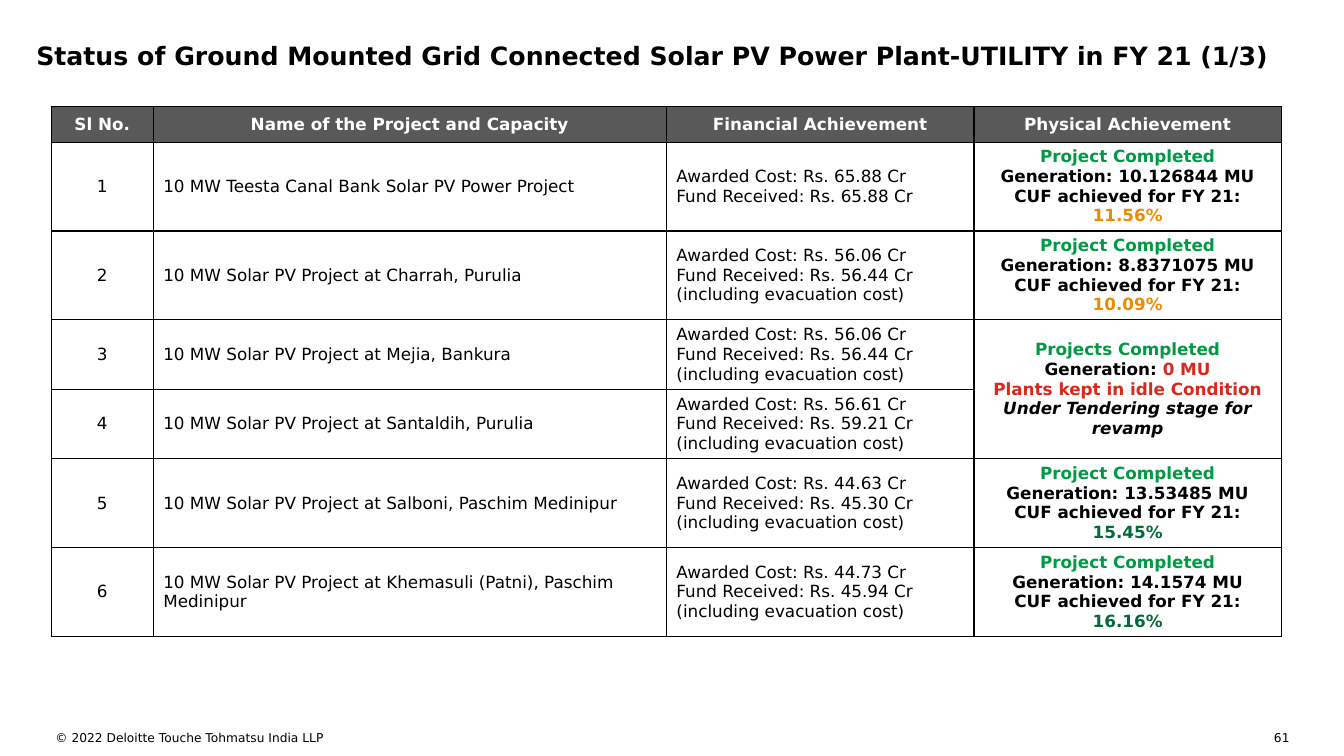
from dataclasses import dataclass

from lxml.etree import SubElement
from pptx import Presentation
from pptx.dml.color import RGBColor
from pptx.enum.text import MSO_ANCHOR as Anchor, PP_ALIGN as Align
from pptx.oxml.ns import qn
from pptx.util import Inches, Pt


@dataclass(frozen=True)
class Theme:
    font: str = "DejaVu Sans"
    title_size: float = 18
    table_size: float = 12
    footer_size: float = 8.7
    border_width: float = 1
    black: str = "000000"
    white: str = "FFFFFF"
    header: str = "595959"
    done: str = "009A44"
    low: str = "ED8B00"
    high: str = "046A38"
    idle: str = "DA291C"


THEME = Theme()


@dataclass(frozen=True)
class Span:
    text: str
    color: str = THEME.black
    bold: bool = False
    italic: bool = False


Line = list[Span]


@dataclass(frozen=True)
class Project:
    name: str
    awarded: str
    received: str
    status: list[Line]
    evacuation: bool = True
    status_rows: int = 1


@dataclass(frozen=True)
class Footer:
    text: str
    left: float
    width: float
    align: Align


def completed(generation: str, cuf: str, cuf_color: str) -> list[Line]:
    """Status lines of a plant that is generating."""
    return [
        [Span("Project Completed", THEME.done, True)],
        [Span(f"Generation: {generation} MU", bold=True)],
        [Span("CUF achieved for FY 21: ", bold=True), Span(cuf, cuf_color, True)],
    ]


IDLE_STATUS = [
    [Span("Projects Completed", THEME.done, True)],
    [Span("Generation: ", bold=True), Span("0 MU", THEME.idle, True)],
    [Span("Plants kept in idle Condition", THEME.idle, True)],
    [Span("Under Tendering stage for revamp", bold=True, italic=True)],
]

TITLE = "Status of Ground Mounted Grid Connected Solar PV Power Plant-UTILITY in FY 21 (1/3)"
HEADINGS = ["Sl No.", "Name of the Project and Capacity",
            "Financial Achievement", "Physical Achievement"]
PROJECTS = [
    Project("10 MW Teesta Canal Bank Solar PV Power Project", "65.88", "65.88",
            completed("10.126844", "11.56%", THEME.low), evacuation=False),
    Project("10 MW Solar PV Project at Charrah, Purulia", "56.06", "56.44",
            completed("8.8371075", "10.09%", THEME.low)),
    Project("10 MW Solar PV Project at Mejia, Bankura", "56.06", "56.44",
            IDLE_STATUS, status_rows=2),
    Project("10 MW Solar PV Project at Santaldih, Purulia", "56.61", "59.21", [],
            status_rows=0),
    Project("10 MW Solar PV Project at Salboni, Paschim Medinipur", "44.63", "45.30",
            completed("13.53485", "15.45%", THEME.high)),
    Project("10 MW Solar PV Project at Khemasuli (Patni), Paschim Medinipur",
            "44.73", "45.94", completed("14.1574", "16.16%", THEME.high)),
]
FOOTERS = [
    Footer("© 2022 Deloitte Touche Tohmatsu India LLP", 0.55, 5.86, Align.LEFT),
    Footer("61", 12.45, 0.34, Align.RIGHT),
]
COLUMN_WIDTHS = [1.01, 5.09, 3.05, 3.05]
HEADER_HEIGHT, FULL_HEIGHT, IDLE_HEIGHT = 0.35, 0.88, 0.69


def write_lines(frame, lines: list[Line], size: float, align: Align) -> None:
    for index, line in enumerate(lines):
        para = frame.paragraphs[0] if index == 0 else frame.add_paragraph()
        para.alignment = align
        for span in line:
            run = para.add_run()
            run.text = span.text
            font = run.font
            font.name, font.size = THEME.font, Pt(size)
            font.bold, font.italic = span.bold, span.italic
            font.color.rgb = RGBColor.from_string(span.color)


def clear_margins(frame) -> None:
    frame.margin_left = frame.margin_right = frame.margin_top = frame.margin_bottom = 0
    frame.word_wrap = True


def style_cell(cell, fill: str) -> None:
    properties = cell._tc.get_or_add_tcPr()
    for side in ("lnL", "lnR", "lnT", "lnB"):
        border = SubElement(properties, qn(f"a:{side}"), w=str(Pt(THEME.border_width)))
        solid = SubElement(border, qn("a:solidFill"))
        SubElement(solid, qn("a:srgbClr"), val=THEME.black)
    cell.fill.solid()
    cell.fill.fore_color.rgb = RGBColor.from_string(fill)
    cell.vertical_anchor = Anchor.MIDDLE


def add_title(page) -> None:
    title = page.shapes.title
    title.left, title.top = Inches(0.36), Inches(0.38)
    title.width, title.height = Inches(12.62), Inches(0.33)
    clear_margins(title.text_frame)
    title.text_frame.vertical_anchor = Anchor.MIDDLE
    write_lines(title.text_frame, [[Span(TITLE, bold=True)]], THEME.title_size, Align.LEFT)


def add_project_table(page) -> None:
    heights = [HEADER_HEIGHT] + [
        FULL_HEIGHT if project.status_rows == 1 else IDLE_HEIGHT for project in PROJECTS]
    table = page.shapes.add_table(
        len(heights), len(COLUMN_WIDTHS), Inches(0.51), Inches(1.06),
        Inches(sum(COLUMN_WIDTHS)), Inches(sum(heights))).table
    for column, width in zip(table.columns, COLUMN_WIDTHS):
        column.width = Inches(width)
    for row, height in zip(table.rows, heights):
        row.height = Inches(height)
    for index, cell in enumerate(table.iter_cells()):
        style_cell(cell, THEME.header if index < len(HEADINGS) else THEME.white)

    for column, heading in enumerate(HEADINGS):
        write_lines(table.cell(0, column).text_frame,
                    [[Span(heading, THEME.white, True)]], THEME.table_size, Align.CENTER)
    for number, project in enumerate(PROJECTS, start=1):
        note = " (including evacuation cost)" if project.evacuation else ""
        contents = [
            ([[Span(str(number))]], Align.CENTER),
            ([[Span(project.name)]], Align.LEFT),
            ([[Span(f"Awarded Cost: Rs. {project.awarded} Cr")],
              [Span(f"Fund Received: Rs. {project.received} Cr{note}")]], Align.LEFT),
            (project.status, Align.CENTER),
        ]
        for column, (lines, align) in enumerate(contents):
            write_lines(table.cell(number, column).text_frame, lines,
                        THEME.table_size, align)
        if project.status_rows > 1:
            last_row = number + project.status_rows - 1
            table.cell(number, 3).merge(table.cell(last_row, 3))


def add_footer(page, footer: Footer) -> None:
    box = page.shapes.add_textbox(
        Inches(footer.left), Inches(7.25), Inches(footer.width), Inches(0.2))
    clear_margins(box.text_frame)
    write_lines(box.text_frame, [[Span(footer.text)]], THEME.footer_size, footer.align)


def main() -> None:
    deck = Presentation()
    deck.slide_width, deck.slide_height = Inches(13.33), Inches(7.5)
    page = deck.slides.add_slide(deck.slide_layouts[5])
    add_title(page)
    add_project_table(page)
    for footer in FOOTERS:
        add_footer(page, footer)
    deck.save("out.pptx")


if __name__ == "__main__":
    main()
